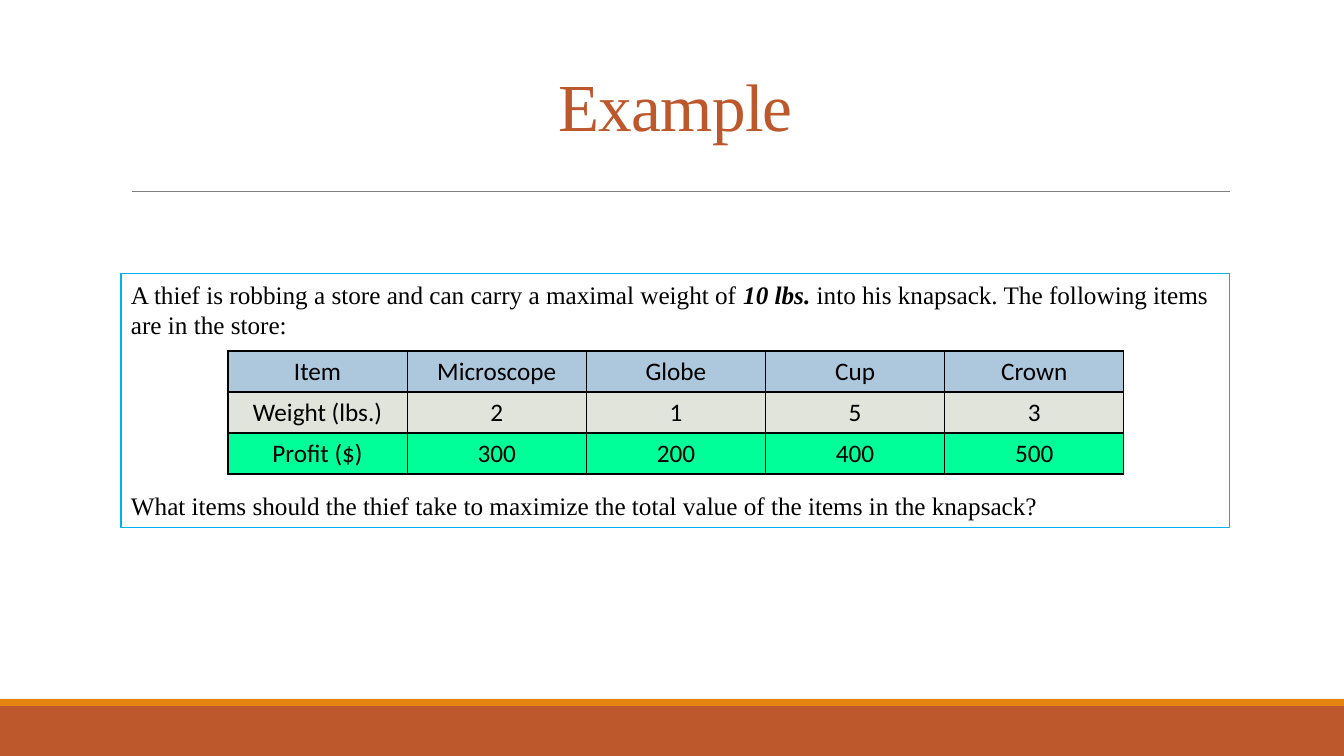
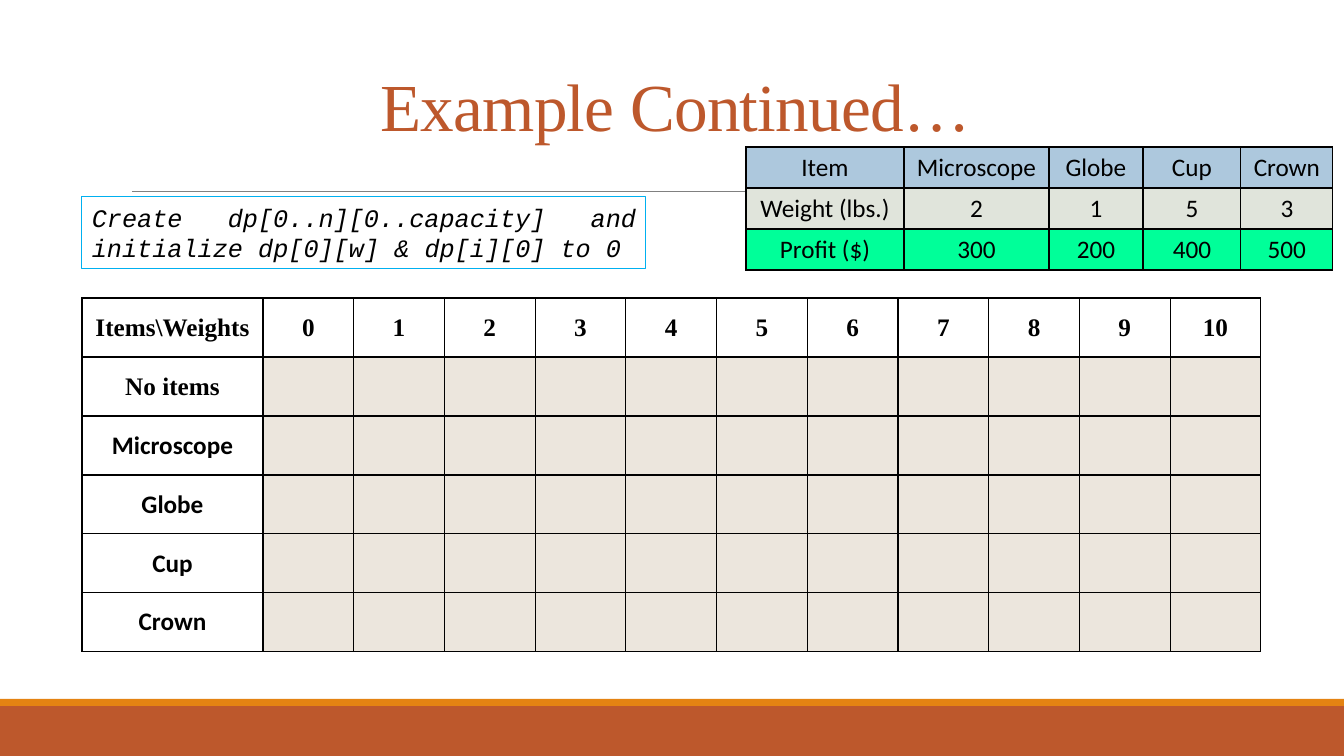
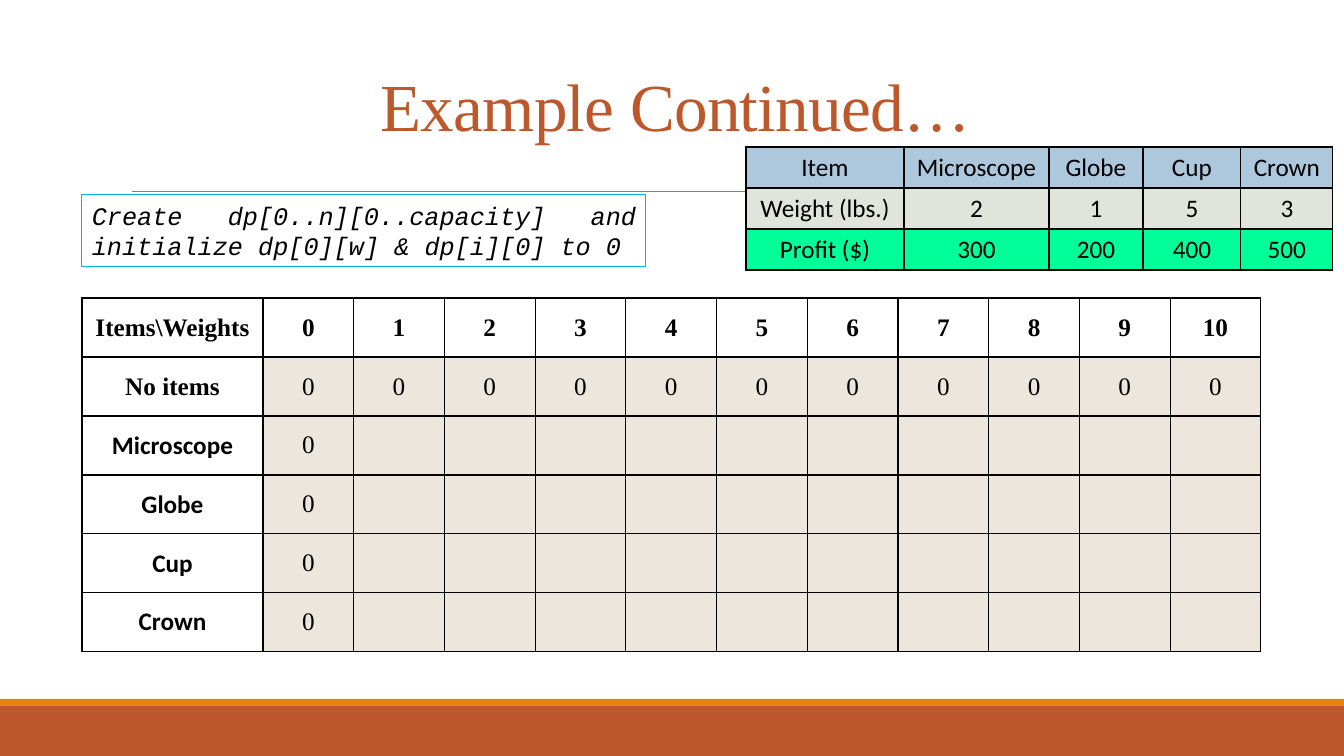
from lxml import etree
from pptx import Presentation
from pptx.dml.color import RGBColor
from pptx.enum.shapes import MSO_CONNECTOR, MSO_SHAPE
from pptx.enum.text import MSO_ANCHOR, PP_ALIGN
from pptx.oxml.ns import qn
from pptx.util import Emu, Pt

CENTER, JUSTIFY, LEFT = PP_ALIGN.CENTER, PP_ALIGN.JUSTIFY, PP_ALIGN.LEFT
TOP, MIDDLE = MSO_ANCHOR.TOP, MSO_ANCHOR.MIDDLE
RECTANGLE, STRAIGHT = MSO_SHAPE.RECTANGLE, MSO_CONNECTOR.STRAIGHT

SLIDE_WIDTH, SLIDE_HEIGHT = 1344, 756
EMU_PER_PX = 914400 / 100.8

SERIF, SANS, MONO = "Times New Roman", "Calibri", "Courier New"
BLACK, RUST, ORANGE, RULE_GREY = "000000", "BD582C", "E48312", "808080"
BOX_BLUE, GRID_FILL = "00B0F0", "ECE6DD"
BODY_SIZE = 18

# Bands and boxes: left, top, width, height
BANDS = [((0, 706, SLIDE_WIDTH, 50), RUST), ((0, 699, SLIDE_WIDTH, 7), ORANGE)]
TITLE_BOX = (121, 31, 1109, 160)
RULE = (132, 191, 1230, 191)

STORY_BOX = (121, 274, 1109, 254)
STORY = [
    ("A thief is robbing a store and can carry a maximal weight of ", {}),
    ("10 lbs.", {"bold": True, "italic": True}),
    (" into his knapsack. The following items are in the store:", {}),
]
QUESTION = ("What items should the thief take to maximize the total value "
            "of the items in the knapsack?")
QUESTION_GAP = 108

ITEMS = ["Microscope", "Globe", "Cup", "Crown"]
ITEM_ROWS = [
    ("ADC8DD", ["Item"] + ITEMS),
    ("E0E4DB", ["Weight (lbs.)", "2", "1", "5", "3"]),
    ("00FF99", ["Profit ($)", "300", "200", "400", "500"]),
]
ITEM_ROW_HEIGHT = 41
WIDE_COLUMNS = [179.2] * 5
NARROW_COLUMNS = [158, 145, 94, 98, 92]

INSTRUCTION = "Create dp[0..n][0..capacity] and initialize dp[0][w] & dp[i][0] to 0"
CAPACITY = 10
GRID_LEFT, GRID_TOP, GRID_WIDTH = 82, 298, 1179
LABEL_WIDTH, GRID_ROW_HEIGHT = 181, 59
# Instruction top, and whether the zero row and column are filled in
GRID_SLIDES = [(197, False), (195, True)]


def px(value):
    return Emu(round(value * EMU_PER_PX))


def color(hex_text):
    return RGBColor.from_string(hex_text)


def add_run(paragraph, text, font=SERIF, size=BODY_SIZE, fill=BLACK, bold=False, italic=False):
    run = paragraph.add_run()
    run.text = text
    run.font.name = font
    run.font.size = Pt(size)
    run.font.color.rgb = color(fill)
    run.font.bold = bold
    run.font.italic = italic
    return run


def add_rectangle(slide, box, fill=None, line=None):
    shape = slide.shapes.add_shape(RECTANGLE, *map(px, box))
    shape.shadow.inherit = False
    if fill:
        shape.fill.solid()
        shape.fill.fore_color.rgb = color(fill)
    else:
        shape.fill.background()
    if line:
        shape.line.color.rgb = color(line)
        shape.line.width = Pt(0.75)
    else:
        shape.line.fill.background()
    return shape


def add_outlined_text(slide, box, alignment):
    """Add a blue-outlined box and return its text frame."""
    frame = add_rectangle(slide, box, line=BOX_BLUE).text_frame
    frame.word_wrap = True
    frame.vertical_anchor = TOP
    frame.paragraphs[0].alignment = alignment
    return frame


def add_titled_slide(presentation, title):
    """Add a blank slide with the shared bands, rule and title."""
    slide = presentation.slides.add_slide(presentation.slide_layouts[6])
    for box, fill in BANDS:
        add_rectangle(slide, box, fill)
    rule = slide.shapes.add_connector(STRAIGHT, *map(px, RULE))
    rule.line.color.rgb = color(RULE_GREY)
    rule.line.width = Pt(0.5)
    etree.SubElement(rule._element.spPr, qn("a:effectLst"))

    frame = slide.shapes.add_textbox(*map(px, TITLE_BOX)).text_frame
    frame.word_wrap = True
    frame.vertical_anchor = MIDDLE
    paragraph = frame.paragraphs[0]
    paragraph.alignment = CENTER
    paragraph.line_spacing = 0.85
    run = add_run(paragraph, title, size=48, fill=RUST)
    run.font._element.set("spc", "-50")
    return slide


def add_borders(cell):
    properties = cell._tc.get_or_add_tcPr()
    for side in ("a:lnL", "a:lnR", "a:lnT", "a:lnB"):
        line = etree.SubElement(properties, qn(side), w=str(Pt(1)))
        fill = etree.SubElement(line, qn("a:solidFill"))
        etree.SubElement(fill, qn("a:srgbClr"), val=BLACK)


def add_table(slide, left, top, widths, row_height, rows, anchor):
    """Add a bordered table; each cell in rows is (text, fill, run style)."""
    table = slide.shapes.add_table(
        len(rows), len(widths), px(left), px(top),
        px(sum(widths)), px(row_height * len(rows))).table
    table.first_row = False
    table.horz_banding = False
    for column, width in zip(table.columns, widths):
        column.width = px(width)
    for row, contents in zip(table.rows, rows):
        row.height = px(row_height)
        for cell, (text, fill, style) in zip(row.cells, contents):
            add_borders(cell)
            if fill:
                cell.fill.solid()
                cell.fill.fore_color.rgb = color(fill)
            else:
                cell.fill.background()
            cell.vertical_anchor = anchor
            paragraph = cell.text_frame.paragraphs[0]
            paragraph.alignment = CENTER
            if text:
                add_run(paragraph, text, **style)


def add_item_table(slide, left, top, widths):
    rows = [[(text, fill, {"font": SANS}) for text in texts] for fill, texts in ITEM_ROWS]
    add_table(slide, left, top, widths, ITEM_ROW_HEIGHT, rows, TOP)


def add_weight_grid(slide, initialized):
    weights = range(CAPACITY + 1)
    heading = {"bold": True}
    rows = [[(text, None, heading) for text in ["Items\\Weights", *map(str, weights)]]]
    for index, label in enumerate(["No items"] + ITEMS):
        label_style = {"bold": True, "font": SANS if index else SERIF}
        values = ["0" if initialized and 0 in (index, weight) else "" for weight in weights]
        rows.append([(label, None, label_style)] + [(value, GRID_FILL, {}) for value in values])
    weight_width = (GRID_WIDTH - LABEL_WIDTH) / len(weights)
    widths = [LABEL_WIDTH] + [weight_width] * len(weights)
    add_table(slide, GRID_LEFT, GRID_TOP, widths, GRID_ROW_HEIGHT, rows, MIDDLE)


def add_story_slide(presentation):
    slide = add_titled_slide(presentation, "Example")
    frame = add_outlined_text(slide, STORY_BOX, LEFT)
    for text, style in STORY:
        add_run(frame.paragraphs[0], text, **style)
    question = frame.add_paragraph()
    question.alignment = LEFT
    question.space_before = Pt(QUESTION_GAP)
    add_run(question, QUESTION)
    add_item_table(slide, 228, 351, WIDE_COLUMNS)


def add_grid_slide(presentation, instruction_top, initialized):
    slide = add_titled_slide(presentation, "Example Continued…")
    add_item_table(slide, 746, 147, NARROW_COLUMNS)
    frame = add_outlined_text(slide, (GRID_LEFT, instruction_top, 564, 72), JUSTIFY)
    add_run(frame.paragraphs[0], INSTRUCTION, font=MONO, italic=True)
    add_weight_grid(slide, initialized)


def main():
    presentation = Presentation()
    presentation.slide_width = px(SLIDE_WIDTH)
    presentation.slide_height = px(SLIDE_HEIGHT)
    add_story_slide(presentation)
    for instruction_top, initialized in GRID_SLIDES:
        add_grid_slide(presentation, instruction_top, initialized)
    presentation.save("out.pptx")


if __name__ == "__main__":
    main()
